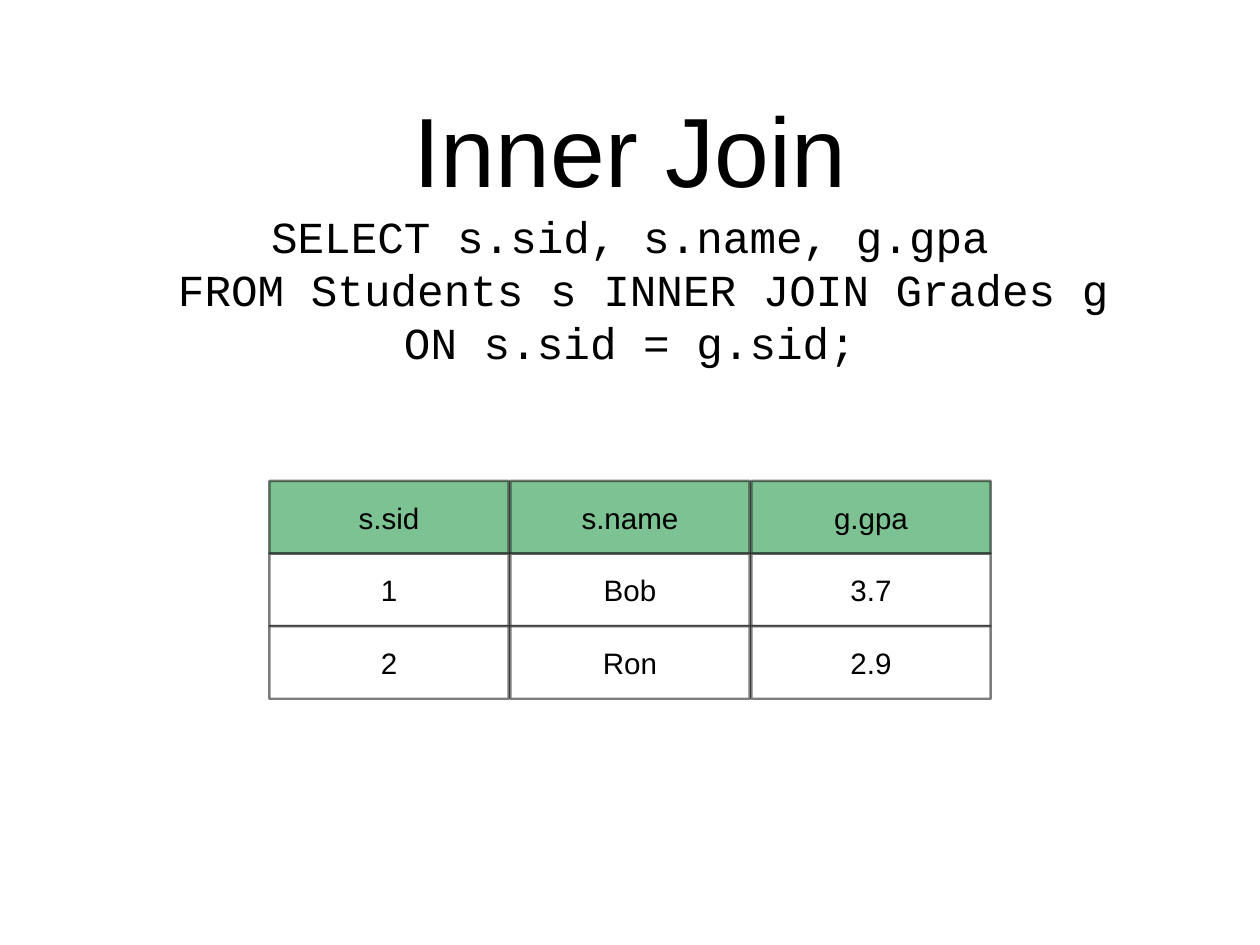
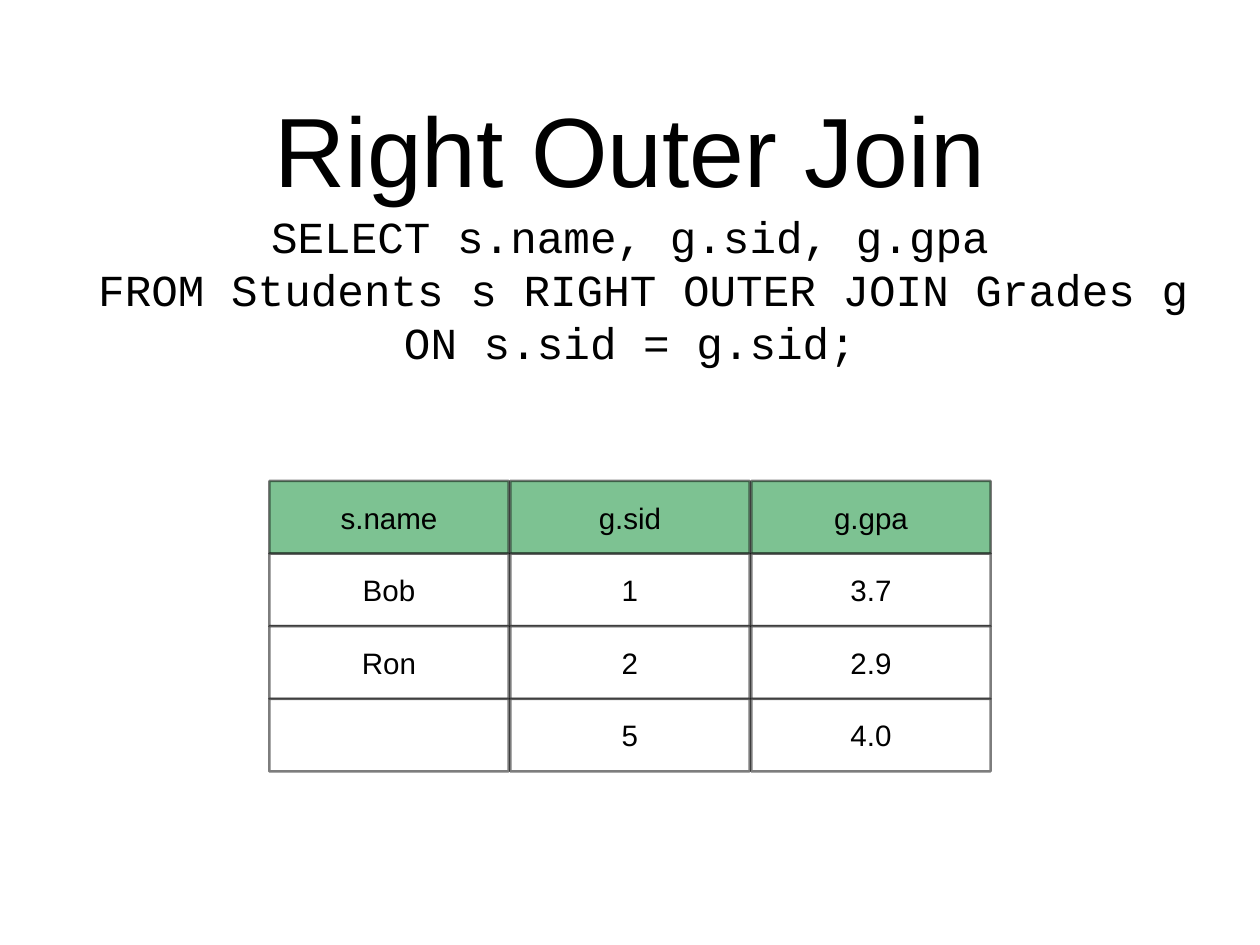
from dataclasses import dataclass

from lxml import etree
from pptx import Presentation
from pptx.dml.color import RGBColor
from pptx.enum import shapes, text
from pptx.oxml import ns
from pptx.util import Inches, Pt

WIDTH, HEIGHT = 14.22, 10.67
BLACK, WHITE, GREEN = "000000", "FFFFFF", "00882B"
LEFT, TOP = 3.04, 5.43
STEP, CELL, ROW = 2.72, 2.7, 0.82
OPACITY = 51


@dataclass
class Join:
    title: str
    query: list[str]
    span: float
    rows: list[list[str]]


JOINS = [
    Join(
        "Inner Join",
        ["SELECT s.sid, s.name, g.gpa",
         " FROM Students s INNER JOIN Grades g",
         " ON s.sid = g.sid; "],
        11.23,
        [["s.sid", "s.name", "g.gpa"],
         ["1", "Bob", "3.7"],
         ["2", "Ron", "2.9"]],
    ),
    Join(
        "Right Outer Join",
        ["SELECT s.name, g.sid, g.gpa",
         " FROM Students s RIGHT OUTER JOIN Grades g",
         " ON s.sid = g.sid; "],
        13.03,
        [["s.name", "g.sid", "g.gpa"],
         ["Bob", "1", "3.7"],
         ["Ron", "2", "2.9"],
         ["", "5", "4.0"]],
    ),
]


def paint(fill, color: str) -> None:
    fill.solid()
    fill.fore_color.rgb = RGBColor.from_string(color)


def fade(shape) -> None:
    """Make the fill and the line of a shape partly transparent."""
    for color in shape._element.spPr.iter(ns.qn("a:srgbClr")):
        etree.SubElement(color, ns.qn("a:alpha"), val=str(OPACITY * 1000))


def write(frame, lines: list[str], *, size: float, font: str = "Arial",
          color: str = BLACK, inset: float = 0, wrap: bool = True) -> None:
    """Fill a text frame with centred paragraphs."""
    frame.word_wrap = wrap
    frame.vertical_anchor = text.MSO_ANCHOR.MIDDLE
    frame.margin_left = frame.margin_right = Inches(inset)
    frame.margin_top = frame.margin_bottom = Inches(inset)
    for i, line in enumerate(lines):
        para = frame.paragraphs[0] if i == 0 else frame.add_paragraph()
        para.alignment = text.PP_ALIGN.CENTER
        run = para.add_run()
        run.text = line
        run.font.size, run.font.name = Pt(size), font
        paint(run.font.fill, color)


def add_box(slide, top: float, width: float, height: float):
    """Add a text frame centred across the slide."""
    box = slide.shapes.add_textbox(Inches((WIDTH - width) / 2), Inches(top),
                                   Inches(width), Inches(height))
    return box.text_frame


def add_cell(slide, left: float, top: float, value: str, color: str) -> None:
    cell = slide.shapes.add_shape(shapes.MSO_SHAPE.RECTANGLE, Inches(left),
                                  Inches(top), Inches(CELL), Inches(ROW))
    cell.shadow.inherit = False
    paint(cell.fill, color)
    paint(cell.line.fill, BLACK)
    cell.line.width = Pt(2)
    fade(cell)
    if value:
        write(cell.text_frame, [value], size=24)


def add_join(deck, join: Join) -> None:
    slide = deck.slides.add_slide(deck.slide_layouts[6])
    paint(slide.background.fill, WHITE)
    write(add_box(slide, 0.49, 12.14, 2.36), [join.title], size=80)
    query = add_box(slide, 2.35, join.span, 1.82)
    write(query, join.query, size=36, font="Courier New", inset=0.06, wrap=False)
    query.auto_size = text.MSO_AUTO_SIZE.SHAPE_TO_FIT_TEXT
    for r, row in enumerate(join.rows):
        for c, value in enumerate(row):
            add_cell(slide, LEFT + c * STEP, TOP + r * ROW, value,
                     WHITE if r else GREEN)


def main() -> None:
    deck = Presentation()
    deck.slide_width, deck.slide_height = Inches(WIDTH), Inches(HEIGHT)
    for join in JOINS:
        add_join(deck, join)
    deck.save("out.pptx")


if __name__ == "__main__":
    main()
